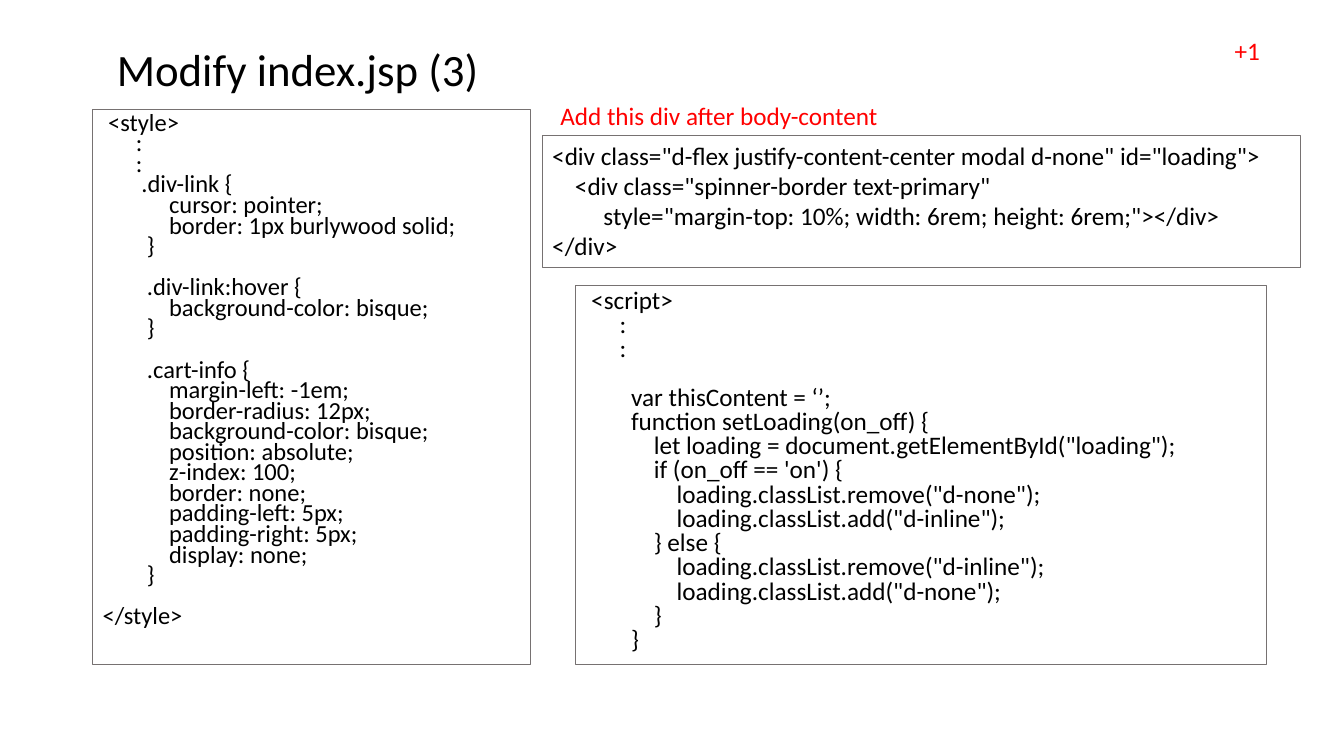
from dataclasses import dataclass

from pptx import Presentation
from pptx.dml.color import RGBColor as Rgb
from pptx.enum.shapes import MSO_SHAPE as Shape
from pptx.enum.text import MSO_ANCHOR as Anchor, PP_ALIGN as Align
from pptx.util import Inches, Pt


@dataclass(frozen=True)
class Theme:
    font: str = "Calibri"
    ink: Rgb = Rgb(0, 0, 0)
    red: Rgb = Rgb(255, 0, 0)
    edge: Rgb = Rgb(0x76, 0x71, 0x71)
    title: float = 32
    code: float = 18
    small: float = 17.5
    line: float = 0.75
    space: float = 0.226
    pitch: float = 1.2


THEME = Theme()
WIDE, HIGH = Inches(13.33), Inches(7.5)

STYLE = """\
 <style>
      :
      :
       .div-link {
            cursor: pointer;
            border: 1px burlywood solid;
        }

        .div-link:hover {
            background-color: bisque;
        }

        .cart-info {
            margin-left: -1em;
            border-radius: 12px;
            background-color: bisque;
            position: absolute;
            z-index: 100;
            border: none;
            padding-left: 5px;
            padding-right: 5px;
            display: none;
        }

</style>"""

SCRIPT = """\
 <script>
      :
      :

        var thisContent = ‘’;
        function setLoading(on_off) {
            let loading = document.getElementById("loading");
            if (on_off == 'on') {
                loading.classList.remove("d-none");
                loading.classList.add("d-inline");
            } else {
                loading.classList.remove("d-inline");
                loading.classList.add("d-none");
            }
        }"""

MARKUP = """\
<div class="d-flex justify-content-center modal d-none" id="loading">
    <div class="spinner-border text-primary"
         style="margin-top: 10%; width: 6rem; height: 6rem;"></div>
</div>"""


def place(box):
    left, top, width, height = box
    return (round(WIDE * left / 100), round(HIGH * top / 100),
            round(WIDE * width / 100), round(HIGH * height / 100))


def dress(para, text, size, color, gap=1.0):
    para.text = text
    para.alignment = Align.LEFT
    para.line_spacing = gap
    para.font.name = THEME.font
    para.font.size = Pt(size)
    para.font.color.rgb = color


def label(slide, box, text, size, color, gap=1.0, anchor=Anchor.TOP):
    frame = slide.shapes.add_textbox(*place(box)).text_frame
    frame.word_wrap = True
    frame.vertical_anchor = anchor
    dress(frame.paragraphs[0], text, size, color, gap)


def panel(slide, box, code, size, gap=1.0):
    shape = slide.shapes.add_shape(Shape.RECTANGLE, *place(box))
    shape.shadow.inherit = False
    shape.fill.background()
    shape.line.color.rgb = THEME.edge
    shape.line.width = Pt(THEME.line)
    frame = shape.text_frame
    frame.word_wrap = True
    frame.vertical_anchor = Anchor.TOP
    para, skip = frame.paragraphs[0], 0
    for index, row in enumerate(code.splitlines()):
        text = row.lstrip()
        if not text:
            skip += 1
            continue
        if index:
            para = frame.add_paragraph()
        dress(para, text, size, THEME.ink, gap)
        para.space_before = Pt(skip * size * gap * THEME.pitch)
        indent = (len(row) - len(text)) * size * THEME.space
        para._p.get_or_add_pPr().set("marL", str(Pt(indent)))
        skip = 0


def build(slide):
    label(slide, (91.13, 4, 3.45, 5.33), "+1", THEME.code, THEME.red)
    label(slide, (7.95, 5.6, 76.73, 7.73), "Modify index.jsp (3)",
          THEME.title, THEME.ink, 0.9, Anchor.MIDDLE)
    panel(slide, (6.9, 14.53, 32.55, 73.33), STYLE, THEME.small, 0.7)
    panel(slide, (42.83, 37.73, 51.38, 50.13), SCRIPT, THEME.code, 0.8)
    panel(slide, (40.35, 17.87, 56.4, 17.47), MARKUP, THEME.code)
    label(slide, (40.95, 12.67, 55.8, 5.33),
          "Add this div after body-content", THEME.code, THEME.red)


def main():
    deck = Presentation()
    deck.slide_width, deck.slide_height = WIDE, HIGH
    build(deck.slides.add_slide(deck.slide_layouts[6]))
    deck.save("out.pptx")


if __name__ == "__main__":
    main()
